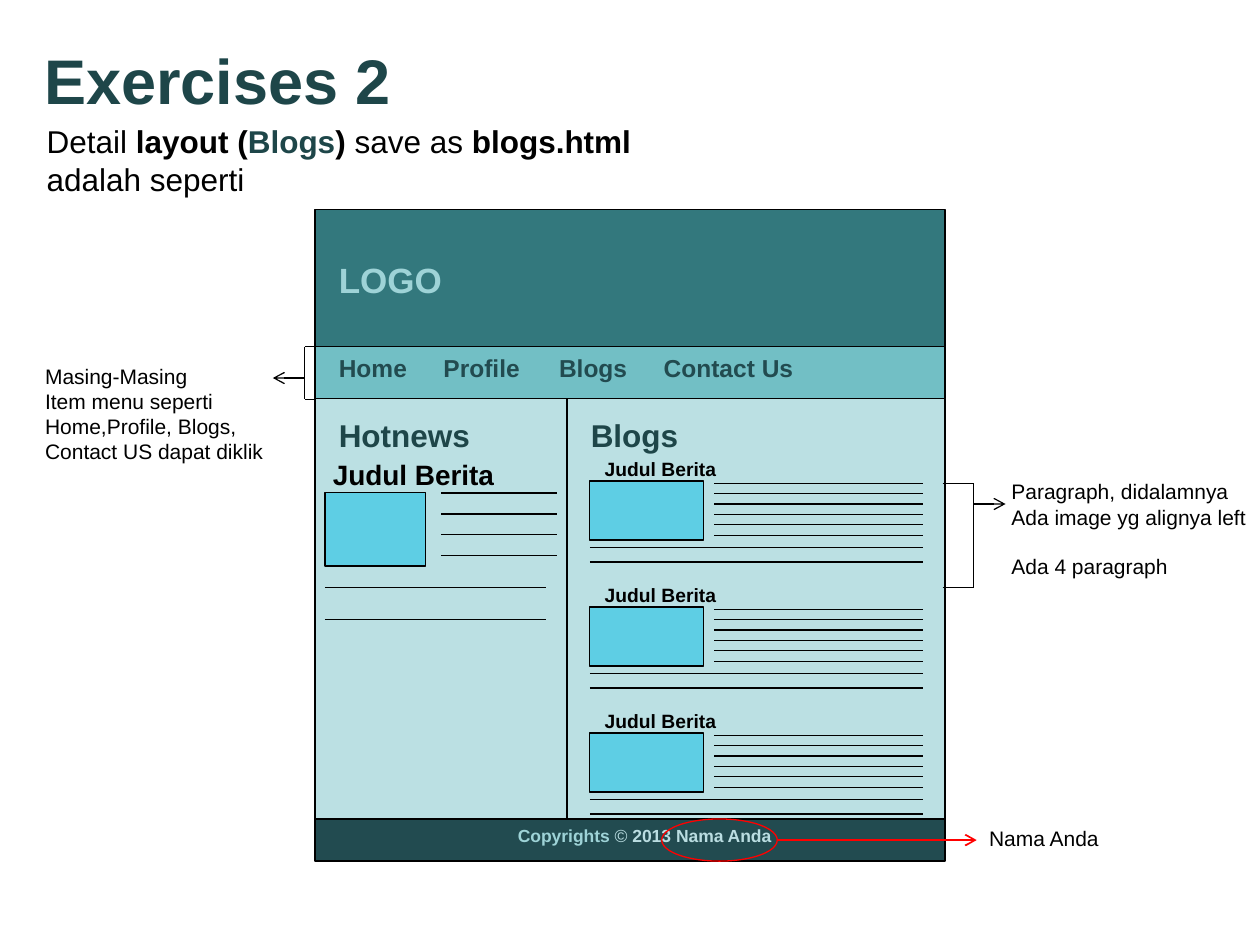
from lxml import etree
from pptx import Presentation
from pptx.dml.color import RGBColor
from pptx.enum.shapes import MSO_CONNECTOR, MSO_SHAPE
from pptx.enum.text import MSO_ANCHOR, MSO_AUTO_SIZE, PP_ALIGN
from pptx.oxml.ns import qn
from pptx.util import Cm, Pt

RECTANGLE, OVAL = MSO_SHAPE.RECTANGLE, MSO_SHAPE.OVAL
STRAIGHT = MSO_CONNECTOR.STRAIGHT
MIDDLE, LEFT = MSO_ANCHOR.MIDDLE, PP_ALIGN.LEFT
GROW = MSO_AUTO_SIZE.SHAPE_TO_FIT_TEXT
FONT = "Arial"
COLORS = {
    "black": "000000", "heading": "1E4649", "header": "33787D", "menu": "72BFC5",
    "content": "BBE0E3", "footer": "224B50", "logo": "9ED3D7", "owner": "BADDE1",
    "image": "5ECEE4", "mark": "FF0000",
}


def rgb(name):
    """Return the named colour."""
    return RGBColor.from_string(COLORS[name])


def style_run(run, size, color="black", bold=False):
    """Set the font of one run."""
    run.font.name = FONT
    run.font.size = Pt(size)
    run.font.bold = bold
    run.font.color.rgb = rgb(color)


def add_panel(shapes, box, fill=None, line="black", preset=RECTANGLE):
    """Draw an outlined shape, filled when a fill is named."""
    panel = shapes.add_shape(preset, *map(Cm, box))
    panel.shadow.inherit = False
    if fill:
        panel.fill.solid()
        panel.fill.fore_color.rgb = rgb(fill)
    else:
        panel.fill.background()
    panel.line.color.rgb = rgb(line)
    panel.line.width = Pt(0.75)


def add_line(shapes, start, end, color="black", width=0.75, arrow=False):
    """Draw a straight line, with an arrowhead at its end if asked."""
    line = shapes.add_connector(STRAIGHT, *map(Cm, (*start, *end)))
    line.line.color.rgb = rgb(color)
    line.line.width = Pt(width)
    if arrow:
        etree.SubElement(line.line._get_or_add_ln(), qn("a:tailEnd"), type="arrow")
    etree.SubElement(line._element.spPr, qn("a:effectLst"))


def add_rules(shapes, left, right, tops):
    """Draw horizontal lines that stand for lines of text."""
    for top in tops:
        add_line(shapes, (left, top), (right, top))


def add_label(shapes, box, text, size, color="black", bold=False):
    """Write unwrapped text in one style."""
    label = shapes.add_textbox(*map(Cm, box))
    frame = label.text_frame
    frame.word_wrap = False
    frame.auto_size = GROW
    frame.text = text
    for paragraph in frame.paragraphs:
        for run in paragraph.runs:
            style_run(run, size, color, bold)
    return frame


def add_mixed_runs(paragraph, parts, size):
    """Append runs given as text, colour and weight."""
    for text, color, bold in parts:
        run = paragraph.add_run()
        run.text = text
        style_run(run, size, color, bold)


def add_heading(slide, box):
    """Place the title and the task under it."""
    left, top, width, height = box
    title = slide.shapes.title
    title.left, title.top, title.width, title.height = map(Cm, box)
    frame = title.text_frame
    frame.text = "Exercises 2"
    frame.vertical_anchor = MIDDLE
    frame.paragraphs[0].alignment = LEFT
    style_run(frame.paragraphs[0].runs[0], 36, "heading", True)

    task = add_label(slide.shapes, (left + 0.05, top + 2.34, 12.5, 1.78), "\nadalah seperti", 18)
    add_mixed_runs(task.paragraphs[0], [
        ("Detail ", "black", False), ("layout (", "black", True),
        ("Blogs", "heading", True), (") ", "black", True),
        ("save as", "black", False), (" blogs.html", "black", True),
    ], 18)


def add_header(shapes, box):
    """Draw the page header with its logo word."""
    left, top, _, _ = box
    add_panel(shapes, box, "header")
    add_label(shapes, (left + 0.23, top + 0.85, 2.65, 1.12), "LOGO", 20, "logo", True)


def add_menu(shapes, box):
    """Draw the menu bar and its items."""
    left, top, _, _ = box
    add_panel(shapes, box, "menu")
    items = [("Home", 0.23, 1.95), ("Profile", 2.34, 2.15),
             ("Blogs", 4.67, 1.95), ("Contact Us", 6.78, 3.2)]
    for item, offset, width in items:
        add_label(shapes, (left + offset, top, width, 0.86), item, 14, "footer", True)


def add_hotnews(shapes, box):
    """Draw the news column with one article."""
    left, top, _, _ = box
    add_panel(shapes, box, "content")
    article = shapes.add_group_shape().shapes
    add_panel(article, (left + 0.2, top + 1.89, 2.03, 1.48), "image")
    add_label(article, (left + 0.23, top + 0.22, 3.25, 1.02), "Hotnews", 18, "heading", True)
    add_rules(article, left + 2.54, left + 4.88, [top + 1.9 + 0.42 * row for row in range(4)])
    add_rules(article, left + 0.2, left + 4.65, [top + 3.81, top + 4.45])
    add_label(article, (left + 0.11, top + 1.05, 3.85, 0.94), "Judul Berita", 16, bold=True)


def add_post(shapes, box):
    """Draw one blog post: heading, image and lines of text."""
    left, top, width, _ = box
    post = shapes.add_group_shape().shapes
    right = left + width
    add_panel(post, (left, top + 0.61, 2.29, 1.19), "image")
    add_label(post, (left + 0.05, top, 2.9, 0.74), "Judul Berita", 11, bold=True)
    add_rules(post, left + 2.51, right, [top + 0.65 + 0.21 * row for row in range(6)])
    add_rules(post, left, right, [top + 1.95, top + 2.24])


def add_blogs(shapes, box):
    """Draw the blog column with three posts."""
    left, top, width, _ = box
    add_panel(shapes, box, "content")
    add_label(shapes, (left + 0.23, top + 0.22, 2.4, 1.02), "Blogs", 18, "heading", True)
    for row in range(3):
        add_post(shapes, (left + 0.46, top + 1.05 + 2.54 * row, width - 0.91, 2.54))


def add_footer(shapes, box):
    """Draw the copyright bar and point out the owner's name."""
    left, top, _, height = box
    middle = top + height / 2
    add_panel(shapes, box, "footer")
    copyright_line = add_label(shapes, (left + 3.84, top, 5.65, 1.12), "", 10)
    add_mixed_runs(copyright_line.paragraphs[0], [
        ("Copyrights ", "logo", True), ("© ", "owner", False), ("2013 Nama Anda", "owner", True),
    ], 10)
    add_panel(shapes, (left + 6.99, top, 2.33, height), line="mark", preset=OVAL)
    add_line(shapes, (left + 9.32, middle), (left + 13.34, middle), "mark", 1, True)
    add_label(shapes, (left + 13.34, top, 2.8, 0.76), "Nama Anda", 12)


def add_bracket(shapes, box, spine, tip, arrow_top):
    """Draw a bracket from the open side to the spine, and an arrow to the tip."""
    open_side, top, height = box
    bottom = top + height
    add_rules(shapes, open_side, spine, [top, bottom])
    add_line(shapes, (spine, top), (spine, bottom))
    add_line(shapes, (spine, arrow_top), (tip, arrow_top), arrow=True)


def add_notes_beside_page(shapes):
    """Explain the menu on the left and the posts on the right."""
    add_bracket(shapes, (6.35, 6.99, 1.06), 6.14, 5.5, 7.62)
    add_label(shapes, (0.66, 7.2, 4.95, 2.29),
              "Masing-Masing\nItem menu seperti\nHome,Profile, Blogs,\vContact US dapat diklik", 12)
    add_bracket(shapes, (19, 9.74, 2.11), 19.63, 20.27, 10.16)
    posts_note = add_label(shapes, (20.14, 9.53, 5.26, 2.29),
                           "Paragraph, didalamnya\nAda image yg alignya left\nAda 4 paragraph", 12)
    posts_note.paragraphs[2].space_before = Pt(14)


def main():
    """Build the slide and save it."""
    deck = Presentation()
    deck.slide_width, deck.slide_height = Cm(25.4), Cm(19.05)
    slide = deck.slides.add_slide(deck.slide_layouts[5])
    shapes = slide.shapes
    add_heading(slide, (0.64, 0, 22.86, 3.18))
    add_header(shapes, (6.35, 4.23, 12.7, 2.76))
    add_menu(shapes, (6.35, 6.99, 12.7, 1.05))
    add_hotnews(shapes, (6.35, 8.04, 5.08, 8.47))
    add_blogs(shapes, (11.43, 8.04, 7.62, 8.47))
    add_footer(shapes, (6.35, 16.51, 12.7, 0.85))
    add_notes_beside_page(shapes)
    deck.save("out.pptx")


if __name__ == "__main__":
    main()
